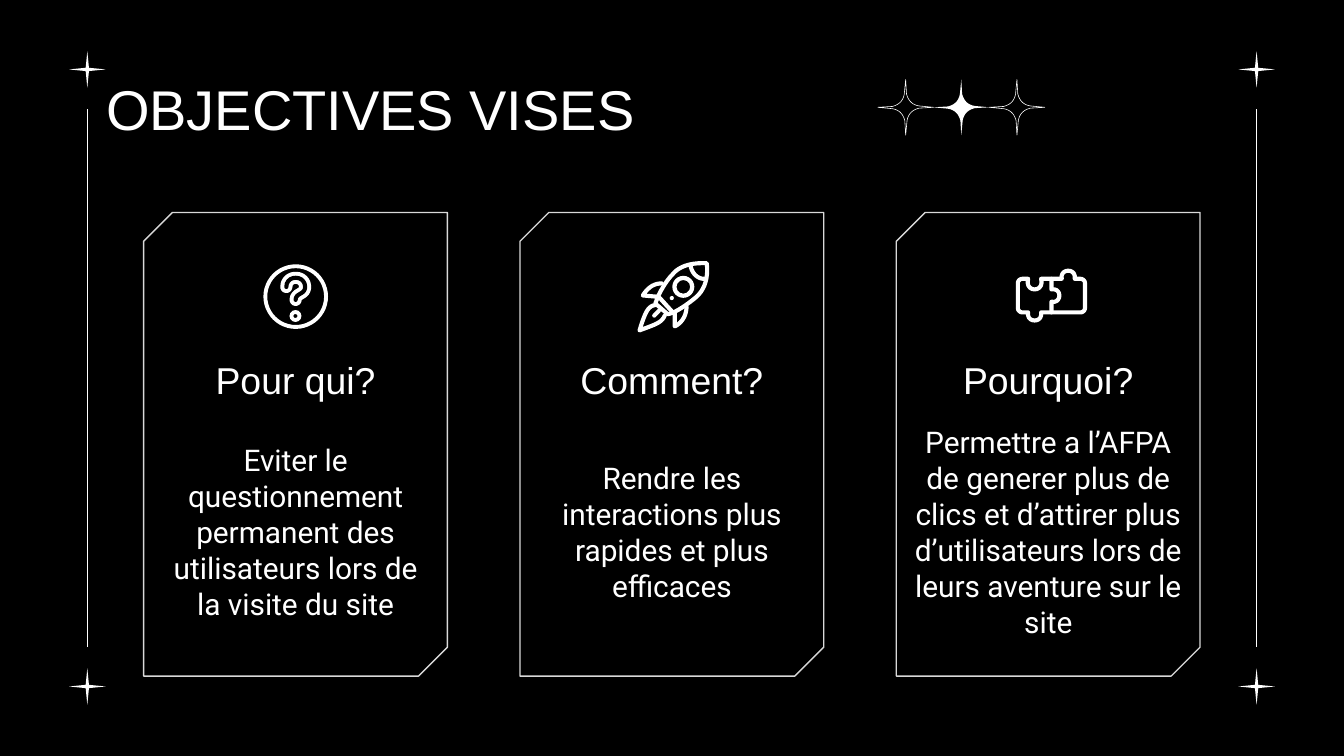
import lxml.etree
import pptx
import pptx.util
import pptx.dml.color
import pptx.enum.shapes
import pptx.enum.text
import pptx.oxml.ns

COLORS = {"background": "000000", "white": "FFFFFF", "card": "D9D9D9"}
TITLE = "OBJECTIVES VISES"
CARDS = [
    ("Pour qui?", "Eviter le questionnement permanent des utilisateurs lors de la visite du site"),
    ("Comment?", "Rendre les interactions plus rapides et plus efficaces"),
    ("Pourquoi?", "Permettre a l’AFPA de generer plus de clics et d’attirer plus "
                  "d’utilisateurs lors de leurs aventure sur le site"),
]

# Paths: pairs are straight segments, sextuples are cubic curves.
QUESTION_HOOK = [(2.9, 7.9), (2.9, 1.3, 13, 1.3, 13, 7.9), (13, 12, 7.9, 11, 7.9, 14.8)]
ROCKET = [
    [(37.1, 1.1), (28, 0.7, 22, 3, 18.7, 7.2), (15, 11, 12.5, 16, 11.1, 18.7),
     (9.6, 22.7), (16.2, 28.4), (20, 28, 27, 23, 31.3, 19.4), (36.5, 15, 38, 8, 37.1, 1.1)],
    [(28.4, 2.2), (29, 6.5, 32.5, 10, 36.4, 9.4)],
    [(11.2, 18.9), (18.7, 27.2)],
    [(13, 11.9), (8, 12, 5, 15, 2.9, 18.4), (11, 19.1)],
    [(26.3, 24.5), (26.2, 29, 24, 33, 20, 35), (20, 27.5)],
    [(9.4, 23.6), (5.5, 24, 4, 28, 1.1, 37.1), (10, 33.8, 13, 33, 14.6, 29.2)],
    [(11.5, 26.6), (9, 29.2)],
]
PUZZLE = [
    [(3.6, 5.4), (6.6, 5.4), (4.6, 13, 15.6, 13, 13.6, 5.4), (24.6, 5.4),
     (23.6, -0.4, 32.6, -0.4, 31.6, 5.4), (34.6, 5.4), (36, 5.4, 37.1, 6.5, 37.1, 7.9),
     (37.1, 20.9), (37.1, 22.3, 36, 23.4, 34.6, 23.4), (13.6, 23.4),
     (14.6, 29.2, 5.6, 29.2, 6.6, 23.4), (3.6, 23.4), (2.2, 23.4, 1.1, 22.3, 1.1, 20.9),
     (1.1, 7.9), (1.1, 6.5, 2.2, 5.4, 3.6, 5.4)],
    [(19.1, 5.4), (19.1, 11.1), (24.8, 10, 24.8, 18.8, 19.1, 17.7), (19.1, 23.4)],
]
SPARKLE_ARM = [(0, -1), (0.03, -0.48), (0.08, -0.3, 0.18, -0.1, 0.48, -0.05), (1, 0)]

Pt = pptx.util.Pt
SHAPES = pptx.enum.shapes.MSO_SHAPE
presentation = pptx.Presentation()
presentation.slide_width, presentation.slide_height = Pt(720), Pt(405)
slide = presentation.slides.add_slide(presentation.slide_layouts[6])


def color(name):
    return pptx.dml.color.RGBColor.from_string(COLORS[name])


slide.background.fill.solid()
slide.background.fill.fore_color.rgb = color("background")


def style(shape, fill=None, line=None, width=0.75):
    shape.shadow.inherit = False
    if fill:
        shape.fill.solid()
        shape.fill.fore_color.rgb = color(fill)
    else:
        shape.fill.background()
    if line:
        shape.line.color.rgb = color(line)
        shape.line.width = Pt(width)
    else:
        shape.line.fill.background()


def add_preset(kind, left, top, width, height, adjustments=(), **format):
    shape = slide.shapes.add_shape(kind, Pt(left), Pt(top), Pt(width), Pt(height))
    for index, value in enumerate(adjustments):
        shape.adjustments[index] = value
    style(shape, **format)


def add_text(text, left, top, width, height, size, font="Arial", align="LEFT"):
    frame = slide.shapes.add_textbox(Pt(left), Pt(top), Pt(width), Pt(height)).text_frame
    frame.word_wrap = True
    frame.margin_left = frame.margin_right = frame.margin_top = frame.margin_bottom = 0
    frame.vertical_anchor = pptx.enum.text.MSO_ANCHOR.MIDDLE
    paragraph = frame.paragraphs[0]
    paragraph.alignment = getattr(pptx.enum.text.PP_ALIGN, align)
    run = paragraph.add_run()
    run.text = text
    run.font.size, run.font.name = Pt(size), font
    run.font.color.rgb = color("white")


def flatten(path, steps=10):
    points = [path[0]]
    for segment in path[1:]:
        if len(segment) == 2:
            points.append(segment)
            continue
        controls = [points[-1], segment[:2], segment[2:4], segment[4:]]
        for step in range(1, steps + 1):
            t = step / steps
            weights = ((1 - t) ** 3, 3 * t * (1 - t) ** 2, 3 * t * t * (1 - t), t ** 3)
            points.append(tuple(sum(w * c[axis] for w, c in zip(weights, controls))
                                for axis in (0, 1)))
    return points


def add_outline(contours, left, top, **format):
    placed = [[(Pt(left + x), Pt(top + y)) for x, y in points] for points in contours]
    builder = slide.shapes.build_freeform(*placed[0][0], scale=1.0)
    for index, points in enumerate(placed):
        if index:
            builder.move_to(*points[0])
        builder.add_line_segments(points[1:], close=points[0] == points[-1])
    shape = builder.convert_to_shape()
    style(shape, **format)
    if format.get("line"):
        line = shape.line._get_or_add_ln()
        line.set("cap", "rnd")
        lxml.etree.SubElement(line, pptx.oxml.ns.qn("a:round"))


def add_question(left, top):
    add_preset(SHAPES.DONUT, left, top, 34.6, 34.6, [0.06], fill="white")
    for name, width in (("white", 6.5), ("background", 2.2)):
        add_outline([flatten(QUESTION_HOOK)], left + 9.4, top + 4.3, line=name, width=width)
    add_preset(SHAPES.DONUT, left + 14, top + 24.5, 6.4, 6.4, [0.33], fill="white")


def add_rocket(left, top):
    add_outline([flatten(path) for path in ROCKET], left, top, line="white", width=2.2)
    add_preset(SHAPES.DONUT, left + 18.7, top + 7.9, 11.8, 11.8, [0.19], fill="white")
    add_preset(SHAPES.OVAL, left + 17.3, top + 18.7, 2.2, 2.2, fill="white")


def add_puzzle(left, top):
    add_outline([flatten(path) for path in PUZZLE], left, top, line="white", width=2.2)


for center in (46.8, 673.2):
    rail = slide.shapes.add_connector(
        pptx.enum.shapes.MSO_CONNECTOR.STRAIGHT, Pt(center), Pt(346.5), Pt(center), Pt(58.5))
    rail.line.color.rgb = color("white")
    rail.line.width = Pt(0.75)
    lxml.etree.SubElement(rail._element.spPr, pptx.oxml.ns.qn("a:effectLst"))
    for top in (27.4, 358):
        add_preset(SHAPES.STAR_4_POINT, center - 9.8, top, 19.6, 19.6, [0.063], fill="white")

add_text(TITLE, 56.9, 35.3, 607, 45.4, size=30)

ICONS = [(add_question, 64.1, 27.8), (add_rocket, 62.9, 26.1), (add_puzzle, 64, 30.2)]
for index, ((heading, body), (add_icon, offset, drop)) in enumerate(zip(CARDS, ICONS)):
    left, top = 77 + 201.6 * index, 113.8
    add_preset(SHAPES.SNIP_2_DIAG_RECTANGLE, left, top, 162.7, 248.4, [0.095, 0], line="card")
    add_text(heading, left + 8.3, 185, 146.2, 36.7, size=20, align="CENTER")
    add_text(body, left + 8.3, 222.5, 146.2, 124.6, size=16, font="Roboto", align="CENTER")
    add_icon(left + offset, top + drop)

radius = 14.9
arm = flatten(SPARKLE_ARM)
sparkle = []
for turn in range(4):
    sparkle += [(radius * x, radius * y) for x, y in arm]
    arm = [(-y, x) for x, y in arm]
for index in range(3):
    format = {"fill": "white"} if index == 1 else {"line": "white", "width": 0.3}
    add_outline([sparkle], 485.2 + 2 * radius * index, 57.5, **format)

presentation.save("out.pptx")
